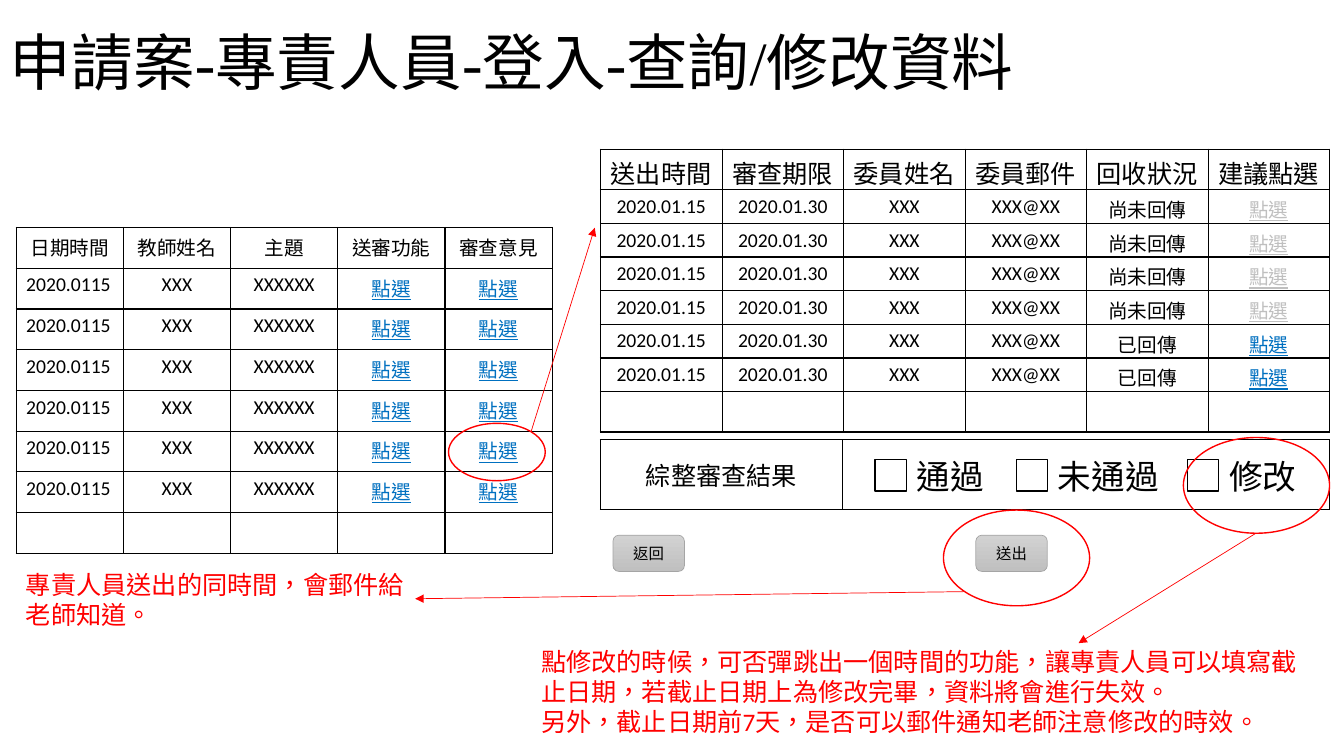
from pptx import Presentation
from pptx.dml.color import RGBColor
from pptx.enum.lang import MSO_LANGUAGE_ID
from pptx.enum.shapes import MSO_CONNECTOR, MSO_SHAPE
from pptx.enum.text import MSO_ANCHOR, PP_ALIGN
from pptx.oxml import parse_xml
from pptx.oxml.ns import nsdecls
from pptx.util import Pt

LEFT, CENTER = PP_ALIGN.LEFT, PP_ALIGN.CENTER
TOP, MIDDLE = MSO_ANCHOR.TOP, MSO_ANCHOR.MIDDLE
ZH_TW = MSO_LANGUAGE_ID.TRADITIONAL_CHINESE

THEME = {
    "font": "Calibri", "title_font": "Times New Roman",
    "ink": "000000", "paper": "FFFFFF", "red": "FF0000",
    "link": "0070C0", "disabled": "BFBFBF",
    "button": ("D2D2D2", "C0C0C0"), "button_line": "A5A5A5",
    "title": 44, "choice": 24, "body": 18, "cell": 14, "small": 11,
}

TITLE = "申請案-專責人員-登入-查詢/修改資料"
PICK = "點選"
CASE_HEAD = ["日期時間", "教師姓名", "主題", "送審功能", "審查意見"]
CASE_ROWS = [["2020.0115", "XXX", "XXXXXX", PICK, PICK]] * 6
REVIEW_HEAD = ["送出時間", "審查期限", "委員姓名", "委員郵件", "回收狀況", "建議點選"]
REVIEW_STATUS = ["尚未回傳"] * 4 + ["已回傳"] * 2
REVIEW_ROWS = [["2020.01.15", "2020.01.30", "XXX", "XXX@XX", status, PICK]
               for status in REVIEW_STATUS]
RESULT = "綜整審查結果"
CHOICES = [("通過", 625, 63.4), ("未通過", 726, 87.1), ("修改", 848.2, 63.4)]
BUTTONS = [("返回", 437.8), ("送出", 697)]
RINGS = [(320.4, 302.4, 69.1, 41), (673.9, 364.3, 104.4, 68.4), (845.3, 312.5, 104.4, 68.4)]
ARROWS = [(379.4, 308.2, 424.8, 162.7), (689, 422.6, 296.6, 427.7), (897.1, 380.9, 770.4, 459.4)]
NOTES = [
    (["點修改的時候，可否彈跳出一個時間的功能，讓專責人員可以填寫截止日期，若截止日期上為修改完畢，資料將會進行失效。",
      "另外，截止日期前7天，是否可以郵件通知老師注意修改的時效。"], (379.4, 457.9, 557.3, 72.7)),
    (["專責人員送出的同時間，會郵件給老師知道。"], (11.5, 403.2, 285.1, 51.1)),
]


def color(name):
    return RGBColor.from_string(THEME.get(name, name))


def write(p, text, size, ink="ink", font="font", align=LEFT, underline=None):
    p.alignment = align
    r = p.add_run()
    r.text = text
    formats = {"name": THEME[font], "size": Pt(THEME[size]),
               "underline": underline, "language_id": ZH_TW}
    for key, value in formats.items():
        setattr(r.font, key, value)
    r.font.color.rgb = color(ink)


def add_text(s, lines, box, size, ink="ink", font="font", wrap=True, anchor=TOP, spacing=None):
    tf = s.shapes.add_textbox(*map(Pt, box)).text_frame
    tf.word_wrap = wrap
    tf.vertical_anchor = anchor
    for i, line in enumerate(lines):
        p = tf.paragraphs[0] if i == 0 else tf.add_paragraph()
        p.line_spacing = spacing
        write(p, line, size, ink, font)


def add_shape(s, kind, box, line, width):
    sp = s.shapes.add_shape(kind, *map(Pt, box))
    sp.shadow.inherit = False
    sp.fill.background()
    sp.line.color.rgb = color(line)
    sp.line.width = Pt(width)
    return sp


def add_table(s, left, top, widths, heights):
    table = s.shapes.add_table(len(heights), len(widths), Pt(left), Pt(top),
                               Pt(sum(widths)), Pt(sum(heights))).table
    table.first_row = table.horz_banding = False
    for col, width in zip(table.columns, widths):
        col.width = Pt(width)
    for row, height in zip(table.rows, heights):
        row.height = Pt(height)
    for cell in table.iter_cells():
        tcPr = cell._tc.get_or_add_tcPr()
        for side in ("lnL", "lnR", "lnT", "lnB"):
            tcPr.append(parse_xml(
                f'<a:{side} {nsdecls("a")} w="12700"><a:solidFill>'
                f'<a:srgbClr val="{THEME["ink"]}"/></a:solidFill></a:{side}>'))
        cell.fill.background()
    return table


def fill_table(table, head, rows, head_size, head_align, first_align):
    for c, text in enumerate(head):
        write(table.cell(0, c).text_frame.paragraphs[0], text, head_size, align=head_align)
    for r, row in enumerate(rows, 1):
        for c, text in enumerate(row):
            link = text == PICK
            ink = ("disabled" if "尚未回傳" in row else "link") if link else "ink"
            write(table.cell(r, c).text_frame.paragraphs[0], text, "cell", ink,
                  align=CENTER if c else first_align, underline=True if link else None)


def add_button(s, label, left):
    sp = add_shape(s, MSO_SHAPE.ROUNDED_RECTANGLE, (left, 382.3, 51.1, 25.9), "button_line", 0.5)
    sp.fill.gradient()
    sp.fill.gradient_angle = 270
    for stop, shade, position in zip(sp.fill.gradient_stops, THEME["button"], (0, 1)):
        stop.color.rgb = color(shade)
        stop.position = position
    sp.text_frame.vertical_anchor = MIDDLE
    write(sp.text_frame.paragraphs[0], label, "small", align=CENTER)


def add_choice(s, label, left, width):
    sp = add_shape(s, MSO_SHAPE.RECTANGLE, (left, 328.3, 22.3, 22.3), "ink", 1)
    sp.fill.solid()
    sp.fill.fore_color.rgb = color("paper")
    add_text(s, [label], (left + 22.6, 321.8, width, 36), "choice", wrap=False)


def add_arrow(s, ends):
    line = s.shapes.add_connector(MSO_CONNECTOR.STRAIGHT, *map(Pt, ends))
    line.line.color.rgb = color("red")
    line.line.width = Pt(0.5)
    line.line._get_or_add_ln().append(parse_xml(f'<a:tailEnd {nsdecls("a")} type="triangle"/>'))
    line._element.spPr.append(parse_xml(f'<a:effectLst {nsdecls("a")}/>'))


def main():
    prs = Presentation()
    prs.slide_width, prs.slide_height = Pt(960), Pt(540)
    s = prs.slides.add_slide(prs.slide_layouts[6])
    add_text(s, [TITLE], (0, 19.4, 960, 55.4), "title", font="title_font",
             anchor=MIDDLE, spacing=0.9)

    cases = add_table(s, 11.5, 162.5, [76.6] * 5, [29.1] * 8)
    fill_table(cases, CASE_HEAD, CASE_ROWS, "cell", CENTER, LEFT)
    reviews = add_table(s, 429, 106.5, [86.8] * 6, [29] + [24] * 6 + [28.6])
    fill_table(reviews, REVIEW_HEAD, REVIEW_ROWS, "body", LEFT, CENTER)
    result = add_table(s, 429, 314.2, [172.8, 348], [49.7]).cell(0, 0)
    result.vertical_anchor = MIDDLE
    write(result.text_frame.paragraphs[0], RESULT, "body", align=CENTER)

    for label, left in BUTTONS:
        add_button(s, label, left)
    for label, left, width in CHOICES:
        add_choice(s, label, left, width)
    for box in RINGS:
        add_shape(s, MSO_SHAPE.OVAL, box, "red", 1)
    for ends in ARROWS:
        add_arrow(s, ends)
    for lines, box in NOTES:
        add_text(s, lines, box, "body", "red")
    prs.save("out.pptx")


if __name__ == "__main__":
    main()
